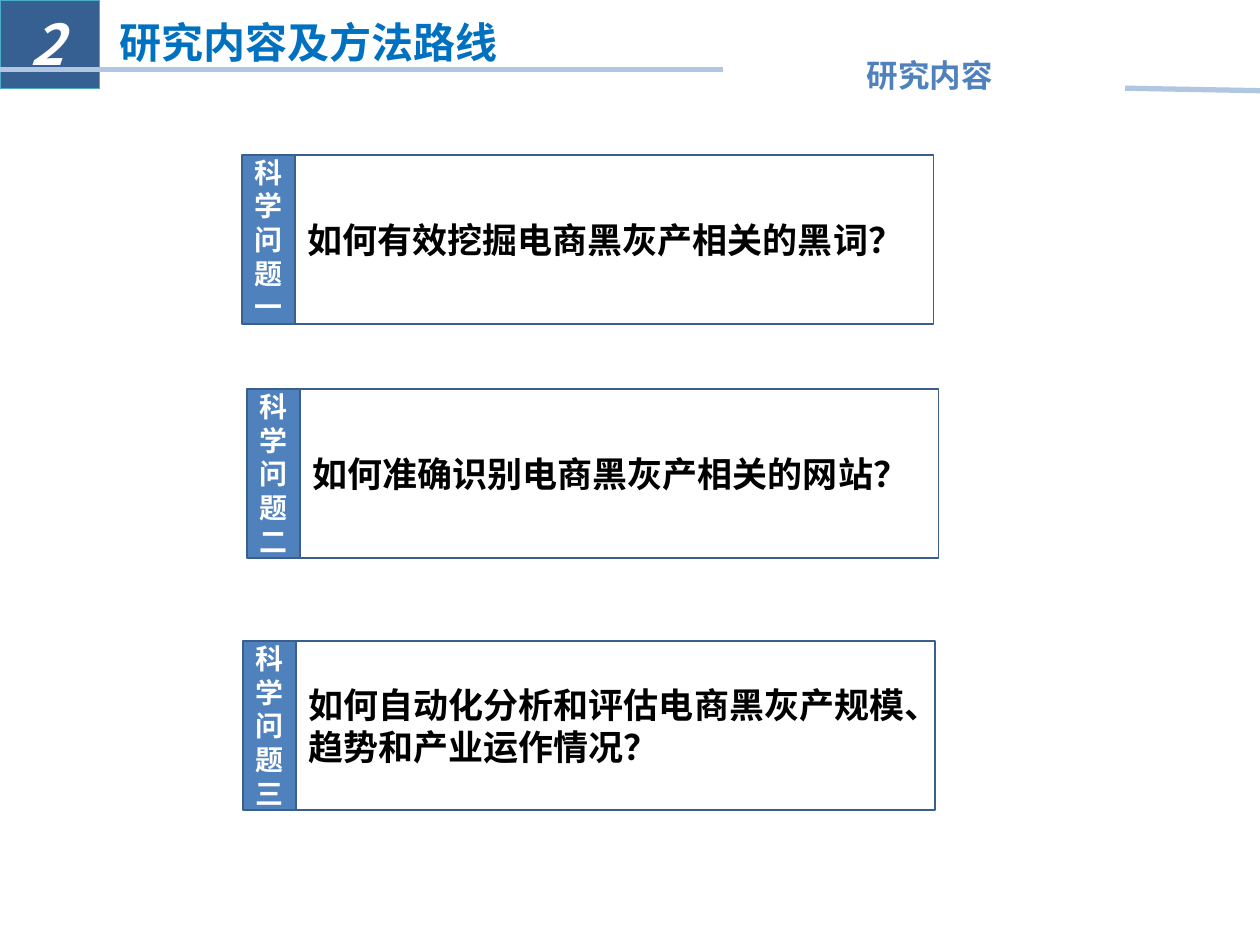
from lxml.etree import SubElement
from pptx import Presentation
from pptx.dml.color import RGBColor
from pptx.enum.shapes import MSO_CONNECTOR, MSO_SHAPE
from pptx.enum.text import MSO_ANCHOR, MSO_AUTO_SIZE, PP_ALIGN
from pptx.oxml.ns import qn
from pptx.util import Inches, Pt

FONT = "Noto Sans CJK SC"
WHITE = "FFFFFF"
ACCENT = "4F81BD"
BORDER = "3A5F8C"
RULE = "B0C6E1"
LABEL_WIDTH = 0.42
QUESTION_WIDTH = 5.07
ROW_HEIGHT = 1.34
QUESTIONS = [
    (1.92, 1.23, "科学问题一", "如何有效挖掘电商黑灰产相关的黑词？"),
    (1.96, 3.09, "科学问题二", "如何准确识别电商黑灰产相关的网站？"),
    (1.93, 5.09, "科学问题三", "如何自动化分析和评估电商黑灰产规模、趋势和产业运作情况？"),
]


def rgb(value):
    """Turn a hex string into a colour."""
    return RGBColor.from_string(value)


def write(frame, text, size, color, align=PP_ALIGN.LEFT, anchor=MSO_ANCHOR.MIDDLE,
          italic=None, spacing=None):
    """Write one bold run into a wrapping text frame."""
    frame.word_wrap = True
    frame.auto_size = MSO_AUTO_SIZE.NONE
    frame.vertical_anchor = anchor
    paragraph = frame.paragraphs[0]
    paragraph.alignment = align
    paragraph.space_before = Pt(0)
    paragraph.line_spacing = spacing
    run = paragraph.add_run()
    run.text = text
    font = run.font
    font.size, font.bold, font.italic, font.name = Pt(size), True, italic, FONT
    font.color.rgb = rgb(color)
    SubElement(font._element, qn("a:ea"), typeface=FONT)


def add_panel(shapes, left, top, width, height, fill, border, weight):
    """Add a bordered rectangle, unfilled when fill is None."""
    panel = shapes.add_shape(MSO_SHAPE.RECTANGLE, Inches(left), Inches(top),
                             Inches(width), Inches(height))
    panel.shadow.inherit = False
    if fill:
        panel.fill.solid()
        panel.fill.fore_color.rgb = rgb(fill)
    else:
        panel.fill.background()
    panel.line.color.rgb = rgb(border)
    panel.line.width = Pt(weight)
    return panel


def add_rule(shapes, x1, y1, x2, y2):
    """Add a pale header line."""
    rule = shapes.add_connector(MSO_CONNECTOR.STRAIGHT, Inches(x1), Inches(y1),
                                Inches(x2), Inches(y2))
    rule.line.color.rgb = rgb(RULE)
    rule.line.width = Pt(3)
    SubElement(rule._element.spPr, qn("a:effectLst"))


def add_caption(shapes, left, top, width, height, text, size, color, **style):
    """Add a centred header text box with tight margins."""
    caption = shapes.add_textbox(Inches(left), Inches(top), Inches(width), Inches(height))
    frame = caption.text_frame
    frame.margin_left = frame.margin_right = Inches(0.07)
    frame.margin_top = frame.margin_bottom = Inches(0.04)
    write(frame, text, size, color, PP_ALIGN.CENTER, spacing=0.9, **style)


def set_title(title, text):
    """Place and fill the title placeholder."""
    title.left, title.top = Inches(0.85), Inches(0.15)
    title.width, title.height = Inches(5.01), Inches(0.42)
    write(title.text_frame, text, 24, "0070C0", spacing=0.9)


def add_question(shapes, left, top, label, question):
    """Add a grouped research question with its label on the left."""
    members = shapes.add_group_shape().shapes
    body = add_panel(members, left + LABEL_WIDTH, top, QUESTION_WIDTH, ROW_HEIGHT,
                     None, BORDER, 1)
    write(body.text_frame, question, 20, "000000")
    tab = add_panel(members, left, top, LABEL_WIDTH, ROW_HEIGHT, ACCENT, BORDER, 1)
    write(tab.text_frame, label, 16, WHITE, PP_ALIGN.CENTER)


def main():
    """Build and save the slide."""
    deck = Presentation()
    deck.slide_width, deck.slide_height = Inches(10), Inches(7.5)
    slide = deck.slides.add_slide(deck.slide_layouts[5])
    shapes = slide.shapes
    set_title(shapes.title, "研究内容及方法路线")
    add_panel(shapes, 0, 0, 0.79, 0.7, "376092", "4BACC6", 0.5)
    add_rule(shapes, 0, 0.55, 5.74, 0.55)
    add_rule(shapes, 8.93, 0.7, 10, 0.72)
    add_caption(shapes, 0, 0, 0.75, 0.76, "2", 32, WHITE, italic=True)
    add_caption(shapes, 5.79, 0.44, 3.18, 0.27, "研究内容", 18, ACCENT,
                anchor=MSO_ANCHOR.TOP)
    for left, top, label, question in QUESTIONS:
        add_question(shapes, left, top, label, question)
    deck.save("out.pptx")


if __name__ == "__main__":
    main()
